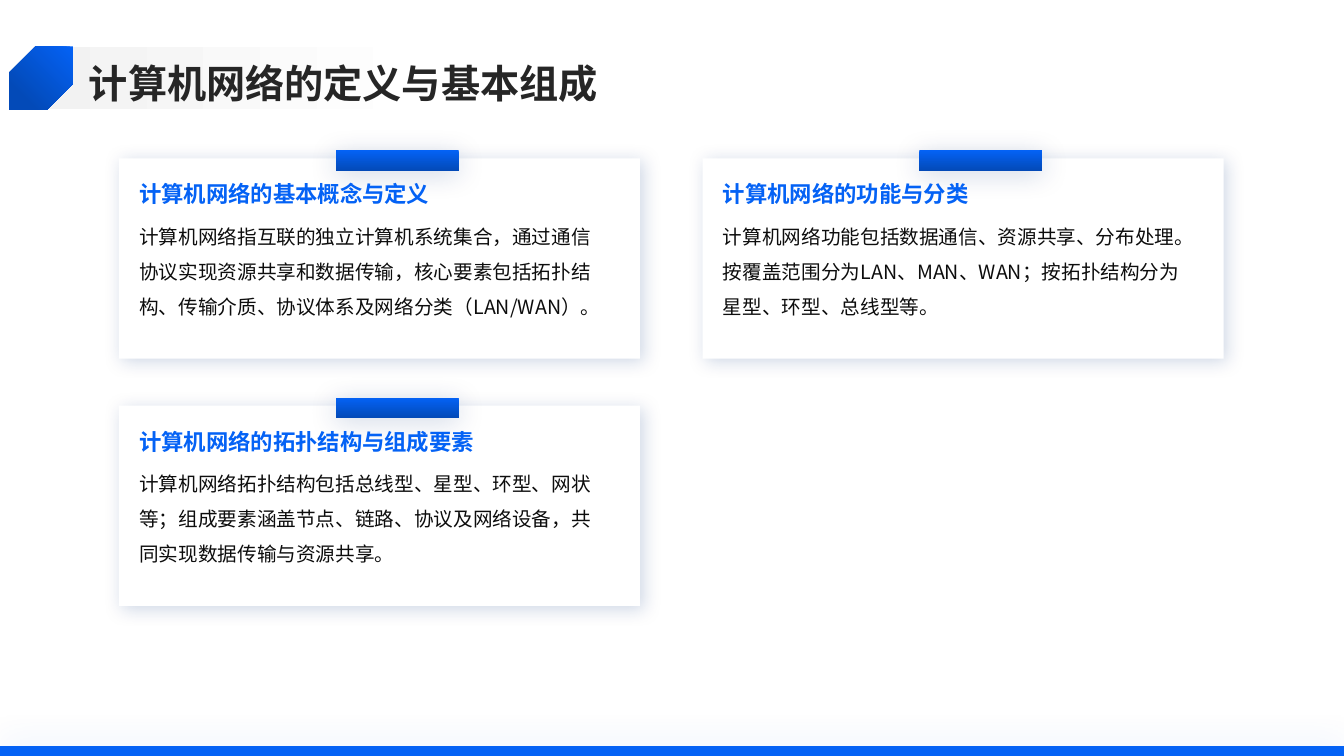
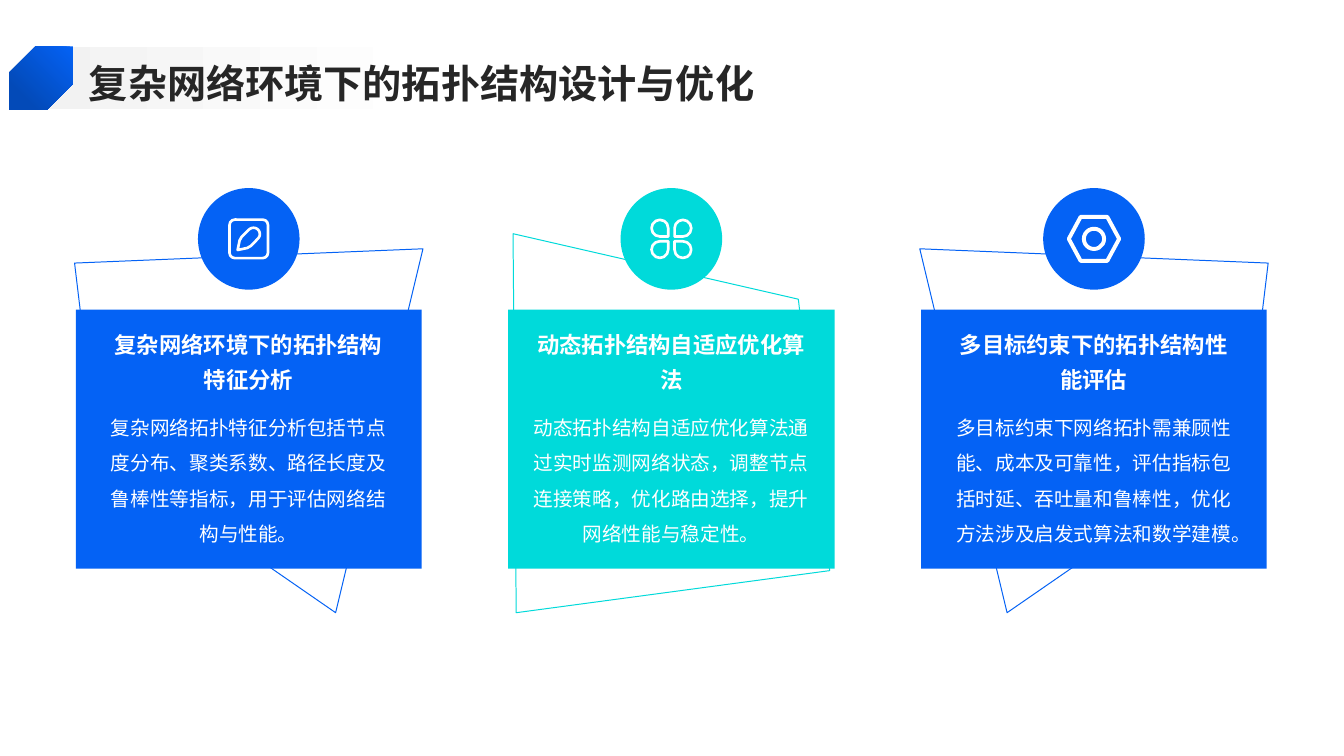
from math import cos, radians, sin

from lxml.etree import SubElement
from pptx import Presentation
from pptx.dml.color import RGBColor
from pptx.enum.shapes import MSO_SHAPE
from pptx.enum.text import MSO_ANCHOR, MSO_AUTO_SIZE, PP_ALIGN
from pptx.oxml.ns import qn
from pptx.util import Cm, Pt

HUES = {
    "blue": "0462F5", "deep": "034AB8", "navy": "02317B", "teal": "00DADA",
    "white": "FFFFFF", "fog": "F2F2F2", "ink": "0D0D0D", "head": "262626",
}
SANS = "Noto Sans CJK SC"
WIDE, HIGH = 33.87, 19.05
CARDS = [
    ("计算机网络的基本概念与定义",
     "计算机网络指互联的独立计算机系统集合，通过通信协议实现资源共享和数据传输，"
     "核心要素包括拓扑结构、传输介质、协议体系及网络分类（LAN/WAN）。"),
    ("计算机网络的功能与分类",
     "计算机网络功能包括数据通信、资源共享、分布处理。"
     "按覆盖范围分为LAN、MAN、WAN；按拓扑结构分为星型、环型、总线型等。"),
    ("计算机网络的拓扑结构与组成要素",
     "计算机网络拓扑结构包括总线型、星型、环型、网状等；"
     "组成要素涵盖节点、链路、协议及网络设备，共同实现数据传输与资源共享。"),
]
KITE = [(2.19, 15.44), (-3.83, 11.28), (-4.39, 6.63), (4.39, 6.27)]
FLIP = [(-x, y) for x, y in KITE]
SAIL = [(3.99, 14.38), (-3.91, 15.44), (-3.99, 5.89), (3.2, 7.54)]


def tint(name):
    return RGBColor.from_string(HUES[name])


def paint(shape, fill=None, line=None, width=0.7):
    shape.shadow.inherit = False
    if fill:
        shape.fill.solid()
        shape.fill.fore_color.rgb = tint(fill)
    else:
        shape.fill.background()
    if line:
        shape.line.color.rgb = tint(line)
        shape.line.width = Pt(width)
    else:
        shape.line.fill.background()


def add(slide, kind, box, fill=None, line=None, width=0.7):
    shape = slide.shapes.add_shape(kind, *map(Cm, box))
    paint(shape, fill, line, width)
    return shape


def fade(shape, start, stop, angle, end=1):
    shape.fill.gradient()
    shape.fill.gradient_angle = -angle % 360
    for mark, name, place in zip(shape.fill.gradient_stops, (start, stop), (0, end)):
        mark.color.rgb = tint(name)
        mark.position = place


def shade(shape, name, alpha, blur, dist=0, angle=0):
    effects = shape._element.spPr.find(qn("a:effectLst"))
    outer = SubElement(effects, qn("a:outerShdw"), blurRad=str(Pt(blur)),
                       dist=str(Pt(dist)), dir=str(angle * 60000),
                       algn="ctr", rotWithShape="0")
    color = SubElement(outer, qn("a:srgbClr"), val=HUES[name])
    SubElement(color, qn("a:alpha"), val=str(alpha * 1000))


def trace(slide, points, line, width=0.7):
    first, *rest = [(Cm(x), Cm(y)) for x, y in points]
    pen = slide.shapes.build_freeform(*first, scale=1.0)
    pen.add_line_segments(rest, close=True)
    paint(pen.convert_to_shape(), line=line, width=width)


def write(shape, text, size, color, bold=False, face=SANS, space=1.0,
          align=PP_ALIGN.LEFT, anchor=MSO_ANCHOR.TOP):
    frame = shape.text_frame
    frame.word_wrap = True
    frame.auto_size = MSO_AUTO_SIZE.NONE
    frame.vertical_anchor = anchor
    frame.margin_left = frame.margin_right = 0
    frame.margin_top = frame.margin_bottom = 0
    frame.text = text
    para = frame.paragraphs[0]
    para.alignment = align
    para.line_spacing = space
    para.space_before = Pt(0)
    font = para.font
    font.size, font.bold, font.name = Pt(size), bold, face
    font.color.rgb = tint(color)
    SubElement(font._rPr, qn("a:ea"), typeface=SANS)


def label(slide, box, text, size, color, **style):
    write(slide.shapes.add_textbox(*map(Cm, box)), text, size, color, **style)


def start(deck, text):
    slide = deck.slides.add_slide(deck.slide_layouts[5])
    band = add(slide, MSO_SHAPE.RECTANGLE, (0.84, 1.18, 12.5, 1.57))
    fade(band, "fog", "white", 0, 0.8)
    title = slide.shapes.title
    title.left, title.top, title.width, title.height = map(Cm, (2.24, 1.38, 30.18, 1.3))
    write(title, text, 28, "head", bold=True, space=1.1, anchor=MSO_ANCHOR.MIDDLE)
    slide.shapes._spTree.append(title._element)
    badge = add(slide, MSO_SHAPE.SNIP_2_DIAG_RECTANGLE, (0.24, 1.17, 1.6, 1.6))
    badge.adjustments[0], badge.adjustments[1] = 0.41, 0
    fade(badge, "blue", "deep", 135, 0.8)
    return slide


def card(slide, left, top, head, body):
    panel = add(slide, MSO_SHAPE.RECTANGLE, (left, top, 13.13, 5.05), "white")
    shade(panel, "navy", 19, 13, 3, 45)
    tab = add(slide, MSO_SHAPE.RECTANGLE, (left + 5.46, top - 0.2, 3.1, 0.51))
    fade(tab, "blue", "deep", 90)
    shade(tab, "navy", 19, 20, 3, 90)
    label(slide, (left + 0.51, top + 0.56, 11.58, 0.91), head, 16, "blue", bold=True)
    label(slide, (left + 0.51, top + 1.37, 11.58, 3.35), body, 14, "ink", space=1.5)


def ring(slide, kind, mid, row, wide, high, width):
    box = (mid - wide / 2, row - high / 2, wide, high)
    return add(slide, kind, box, line="white", width=width)


def pencil(slide, mid, row):
    frame = ring(slide, MSO_SHAPE.ROUNDED_RECTANGLE, mid, row, 0.97, 0.97, 1.9)
    frame.adjustments[0] = 0.14
    turns = [radians(a) for a in range(225, 406, 15)]
    curve = [(0.12 + 0.16 * cos(a), -0.12 + 0.16 * sin(a)) for a in turns]
    shape = [(-0.28, 0.28), (-0.23, 0.04), (-0.18, -0.05), *curve,
             (0.05, 0.18), (-0.04, 0.23)]
    trace(slide, [(mid + x, row + y) for x, y in shape], "white", 1.9)


def clover(slide, mid, row):
    for x, y, turn in ((-1, -1, 90), (1, -1, 180), (-1, 1, 0), (1, 1, 270)):
        leaf = ring(slide, MSO_SHAPE.TEAR, mid + x * 0.29, row + y * 0.27, 0.42, 0.42, 1.9)
        leaf.rotation = turn


def nut(slide, mid, row):
    edge = ring(slide, MSO_SHAPE.HEXAGON, mid, row, 1.27, 1.11, 2.8)
    edge.adjustments[0] = 0.27
    ring(slide, MSO_SHAPE.OVAL, mid, row, 0.51, 0.51, 2.8)


def column(slide, mid, hue, wide, edge, icon, head, body):
    trace(slide, [(mid + x, y) for x, y in edge], hue)
    add(slide, MSO_SHAPE.RECTANGLE, (mid - wide / 2, 7.8, wide, 6.53), hue)
    add(slide, MSO_SHAPE.OVAL, (mid - 1.28, 4.74, 2.56, 2.56), hue)
    icon(slide, mid, 6.02)
    left = mid - 3.6
    label(slide, (left, 8.08, 7.19, 1.83), head, 16, "white", bold=True, space=1.3,
          align=PP_ALIGN.CENTER, anchor=MSO_ANCHOR.BOTTOM)
    label(slide, (left, 10.19, 7.19, 3.78), body, 14, "white", face="Arial",
          space=1.5, align=PP_ALIGN.CENTER)


def basics(deck):
    slide = start(deck, "计算机网络的定义与基本组成")
    foot = add(slide, MSO_SHAPE.RECTANGLE, (0, 18.8, WIDE, 0.25), "blue")
    shade(foot, "blue", 20, 25)
    for i, (head, body) in enumerate(CARDS):
        row, col = divmod(i, 2)
        card(slide, 3 + col * 14.71, 3.99 + row * 6.23, head, body)


def design(deck):
    slide = start(deck, "复杂网络环境下的拓扑结构设计与优化")
    items = [
        ("blue", 8.71, KITE, pencil, "复杂网络环境下的拓扑结构特征分析",
         "复杂网络拓扑特征分析包括节点度分布、聚类系数、路径长度及鲁棒性等指标，"
         "用于评估网络结构与性能。"),
        ("teal", 8.23, SAIL, clover, "动态拓扑结构自适应优化算法",
         "动态拓扑结构自适应优化算法通过实时监测网络状态，调整节点连接策略，"
         "优化路由选择，提升网络性能与稳定性。"),
        ("blue", 8.71, FLIP, nut, "多目标约束下的拓扑结构性能评估",
         "多目标约束下网络拓扑需兼顾性能、成本及可靠性，评估指标包括时延、吞吐量和鲁棒性，"
         "优化方法涉及启发式算法和数学建模。"),
    ]
    for i, item in enumerate(items):
        column(slide, 6.27 + i * 10.65, *item)


def main():
    deck = Presentation()
    deck.slide_width, deck.slide_height = Cm(WIDE), Cm(HIGH)
    basics(deck)
    design(deck)
    deck.save("out.pptx")


if __name__ == "__main__":
    main()
